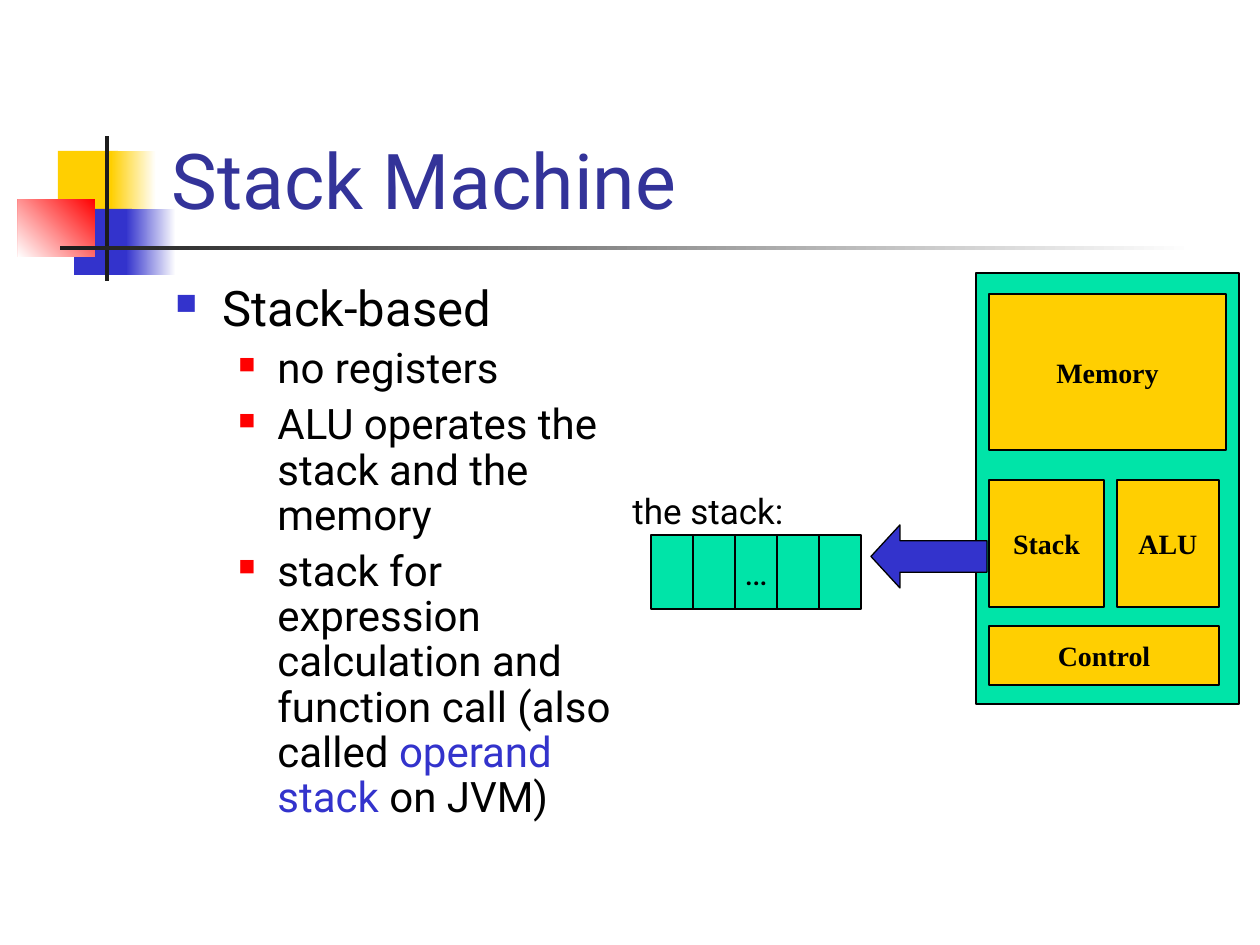
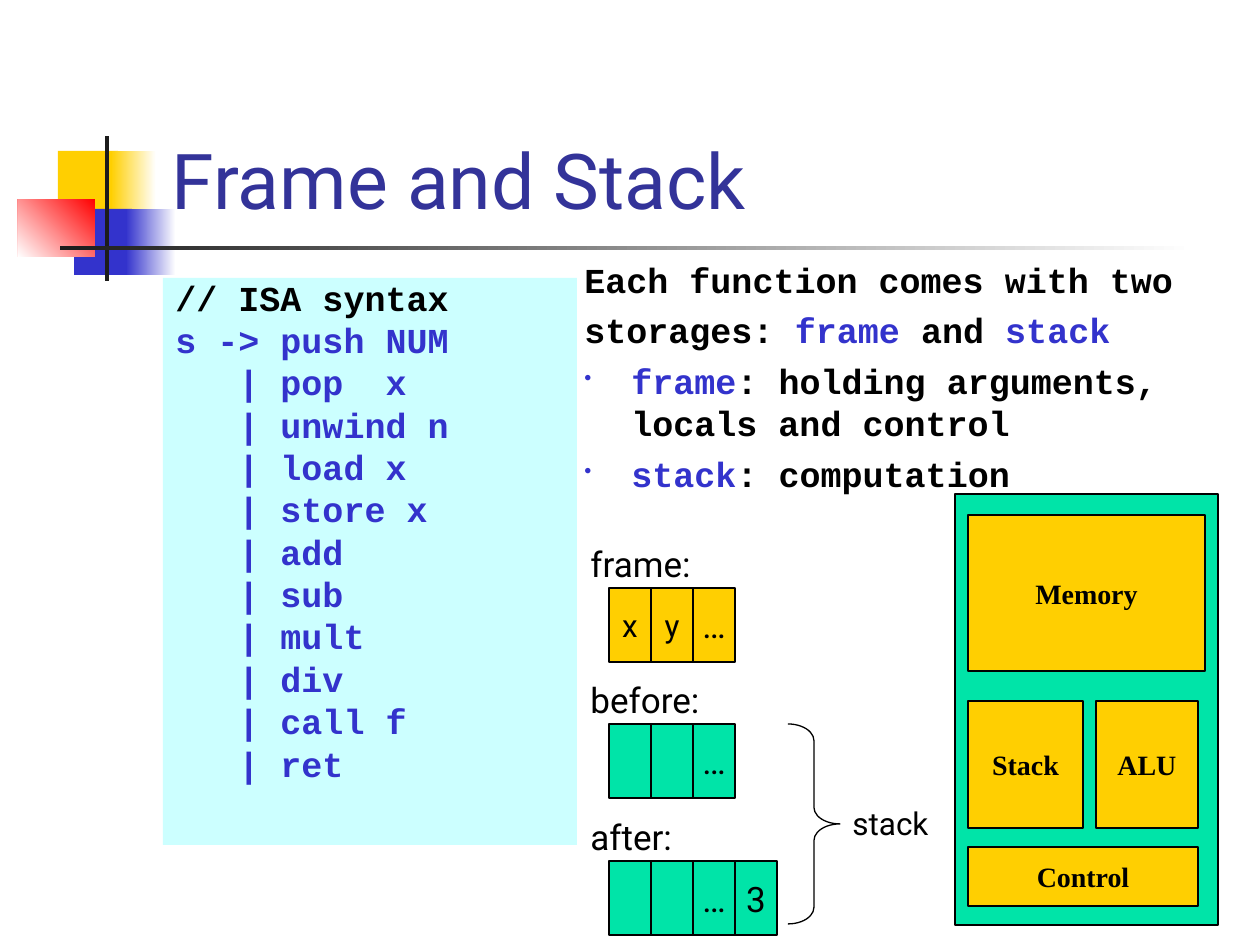
from dataclasses import dataclass, field

from lxml.etree import SubElement
from pptx import Presentation
from pptx.dml.color import RGBColor
from pptx.enum.shapes import MSO_SHAPE
from pptx.enum.text import MSO_ANCHOR, MSO_AUTO_SIZE, PP_ALIGN
from pptx.oxml.ns import qn
from pptx.util import Emu, Pt

EMU_PER_PX = 914400 / 126


def px(length):
    """Turn a length in px into EMU."""
    return Emu(round(length * EMU_PER_PX))


def set_values(target, values):
    """Set every attribute named in a dict of format values."""
    for name, value in values.items():
        setattr(target, name, value)


@dataclass(frozen=True)
class TextStyle:
    """Font, paragraph, indent and bullet of one kind of text."""

    font: dict
    color: str = "000000"
    paragraph: dict = field(default_factory=dict)
    left: int = 0
    hanging: int = 0
    bullet: tuple = ()


@dataclass(frozen=True)
class Theme:
    """Colours and text styles of the presentation."""

    yellow: str = "FFCF01"
    blue: str = "3333CC"
    red: str = "FF0000"
    green: str = "00E4A8"
    cyan: str = "CCFFFF"
    dark: str = "1C1C1C"
    white: str = "FFFFFF"
    black: str = "000000"
    line_width: Pt = Pt(0.75)
    sans: str = "Roboto"
    serif: str = "Times New Roman"
    mono: str = "Courier New"

    def style(self, name):
        """Return the text style with the given name."""
        code_font = {"name": self.mono, "size": Pt(20), "bold": True}
        centred = {"alignment": PP_ALIGN.CENTER}
        return {
            "title": TextStyle({"name": self.sans, "size": Pt(44)}, "333399",
                               {"alignment": PP_ALIGN.LEFT}),
            "label": TextStyle({"name": self.sans, "size": Pt(20)}),
            "small label": TextStyle({"name": self.sans, "size": Pt(18)}),
            "cell": TextStyle({"name": self.sans, "size": Pt(20)}, paragraph=centred),
            "small cell": TextStyle({"name": self.sans, "size": Pt(18)}, paragraph=centred),
            "unit": TextStyle({"name": self.serif, "size": Pt(16), "bold": True},
                              paragraph=centred),
            "topic": TextStyle({"name": self.sans, "size": Pt(28)},
                               paragraph={"line_spacing": 0.9, "space_before": Pt(7)},
                               left=47, hanging=47, bullet=("■", self.blue, 60)),
            "point": TextStyle({"name": self.sans, "size": Pt(24)},
                               paragraph={"line_spacing": 0.9, "space_before": Pt(6)},
                               left=102, hanging=39, bullet=("■", self.red, 55)),
            "code": TextStyle(code_font,
                              paragraph={"line_spacing": 0.8, "space_before": Pt(5)},
                              left=47, hanging=47),
            "statement": TextStyle(code_font, paragraph={"space_before": Pt(5)},
                                   left=47, hanging=47),
            "storage": TextStyle(code_font, paragraph={"space_before": Pt(5)},
                                 left=47, hanging=47, bullet=("•", self.blue, 60)),
        }[name]


class Deck:
    """Holds the theme and the current slide and draws on it."""

    def __init__(self, theme):
        """Start a presentation with a title-only layout."""
        self.theme = theme
        self.presentation = Presentation()
        set_values(self.presentation, {"slide_width": px(1260), "slide_height": px(945)})
        self.layout = self.presentation.slide_layouts[5]
        self.slide = None

    def add_slide(self, title):
        """Add a slide and format its title."""
        first = self.slide is None
        self.slide = self.presentation.slides.add_slide(self.layout)
        if first:
            self.decorate_layout()
        shape = self.slide.shapes.title
        set_values(shape, {"left": px(159), "top": px(29),
                           "width": px(1074), "height": px(202)})
        set_values(shape.text_frame, {"vertical_anchor": MSO_ANCHOR.BOTTOM,
                                      "auto_size": MSO_AUTO_SIZE.NONE, "word_wrap": True})
        self.fill_text(shape.text_frame, [("title", title)])

    def decorate_layout(self):
        """Put the shared squares and rules on the layout."""
        theme = self.theme
        for placeholder in list(self.layout.placeholders):
            if placeholder.placeholder_format.idx:
                self.layout.shapes.element.remove(placeholder.element)
        decorations = [
            ((58, 151, 60, 66), (theme.yellow,), 0),
            ((111, 151, 45, 66), (theme.white, theme.yellow), 180),
            ((74, 209, 58, 66), (theme.blue,), 0),
            ((126, 209, 50, 66), (theme.white, theme.blue), 180),
            ((18, 199, 77, 58), (theme.red, theme.white), 225),
            ((105, 136, 4, 145), (theme.dark,), 0),
            ((60, 246, 1134, 4), (theme.white, theme.dark), 180),
        ]
        shapes = [self.shape(box, colors[0], outlined=False) for box, colors, _ in decorations]
        for shape, (_, colors, angle) in zip(shapes, decorations):
            if len(colors) > 1:
                self.fade(shape, colors, angle)
            self.layout.shapes.element.append(shape.element)

    def fade(self, shape, colors, angle):
        """Fill a shape with a gradient."""
        shape.fill.gradient()
        shape.fill.gradient_angle = angle
        for stop, color in zip(shape.fill.gradient_stops, colors):
            stop.color.rgb = RGBColor.from_string(color)

    def shape(self, box, color=None, kind=MSO_SHAPE.RECTANGLE, adjustments=(), outlined=True):
        """Add a preset shape without a shadow."""
        shape = self.slide.shapes.add_shape(kind, *map(px, box))
        shape.shadow.inherit = False
        if color:
            shape.fill.solid()
            shape.fill.fore_color.rgb = RGBColor.from_string(color)
        else:
            shape.fill.background()
        if outlined:
            shape.line.width = self.theme.line_width
            shape.line.color.rgb = RGBColor.from_string(self.theme.black)
        else:
            shape.line.fill.background()
        for index, value in enumerate(adjustments):
            shape.adjustments[index] = value
        return shape

    def block(self, box, color, text, style):
        """Add a rectangle with centred text."""
        shape = self.shape(box, color)
        if text:
            set_values(shape.text_frame, {"vertical_anchor": MSO_ANCHOR.MIDDLE,
                                          "word_wrap": False})
            self.fill_text(shape.text_frame, [(style, text)])

    def text(self, box, paragraphs, color=None):
        """Add a wrapping text box, filled if a colour is given."""
        shape = self.slide.shapes.add_textbox(*map(px, box))
        shape.text_frame.word_wrap = True
        if color:
            shape.fill.solid()
            shape.fill.fore_color.rgb = RGBColor.from_string(color)
        self.fill_text(shape.text_frame, paragraphs)

    def fill_text(self, frame, paragraphs):
        """Add styled paragraphs, with accents between asterisks."""
        for index, (name, text) in enumerate(paragraphs):
            style = self.theme.style(name)
            paragraph = frame.add_paragraph() if index else frame.paragraphs[0]
            set_values(paragraph, style.paragraph)
            if not index:
                paragraph.space_before = Pt(0)
            self.indent(paragraph, style)
            for part, content in enumerate(text.split("*")):
                if content:
                    run = paragraph.add_run()
                    run.text = content
                    set_values(run.font, style.font)
                    color = self.theme.blue if part % 2 else style.color
                    run.font.color.rgb = RGBColor.from_string(color)

    def indent(self, paragraph, style):
        """Give a paragraph its indent and bullet."""
        properties = paragraph._p.get_or_add_pPr()
        if style.left:
            properties.set("marL", str(px(style.left)))
            properties.set("indent", str(px(-style.hanging)))
        if style.bullet:
            character, color, percent = style.bullet
            bullet_color = SubElement(properties, qn("a:buClr"))
            SubElement(bullet_color, qn("a:srgbClr")).set("val", color)
            SubElement(properties, qn("a:buSzPct")).set("val", str(percent * 1000))
            SubElement(properties, qn("a:buChar")).set("char", character)

    def cells(self, label, left, top, contents, color, label_width=157):
        """Add a label over a row of storage cells."""
        for index, content in enumerate(contents):
            style = "small cell" if content.isalpha() else "cell"
            self.block((left + 42 * index, top, 42, 74), color, content, style)
        self.text((left - 31, top - 52, label_width, 55), [("label", label)])

    def machine(self, left, top):
        """Add the diagram of the machine's units."""
        self.shape((left, top, 263, 431), self.theme.green)
        units = {
            "Memory": (13, 21, 237, 156),
            "Stack": (13, 207, 115, 127),
            "ALU": (141, 207, 102, 127),
            "Control": (13, 353, 230, 59),
        }
        for name, (x, y, width, height) in units.items():
            self.block((left + x, top + y, width, height), self.theme.yellow, name, "unit")


def add_stack_machine(deck):
    """Build the slide on the stack machine."""
    theme = deck.theme
    deck.add_slide("Stack Machine")
    deck.cells("the stack:", 651, 535, ["", "", "…", "", ""], theme.green, 220)
    deck.machine(976, 273)
    deck.shape((871, 525, 116, 63), theme.blue, MSO_SHAPE.LEFT_ARROW, (0.5, 0.46))
    deck.text((163, 278, 487, 567), [
        ("topic", "Stack-based"),
        ("point", "no registers"),
        ("point", "ALU operates the stack and the memory"),
        ("point", "stack for expression calculation and function call "
                  "(also called *operand stack* on JVM)"),
    ])


def add_frame_and_stack(deck):
    """Build the slide on the frame and the stack."""
    theme = deck.theme
    deck.add_slide("Frame and Stack")
    instructions = ["pop  x", "unwind n", "load x", "store x", "add", "sub",
                    "mult", "div", "call f", "ret"]
    syntax = ["// ISA syntax", "*s -> push NUM*"]
    syntax += [f"*   | {instruction}*" for instruction in instructions]
    deck.text((163, 278, 414, 567), [("code", line) for line in syntax], theme.cyan)
    deck.machine(955, 494)
    deck.text((572, 252, 666, 368), [
        ("statement", "Each function comes with two"),
        ("statement", "storages: *frame* and *stack*"),
        ("storage", "*frame*: holding arguments, locals and control"),
        ("storage", "*stack*: computation"),
    ])
    deck.cells("before:", 609, 724, ["", "", "…"], theme.green)
    deck.cells("after:", 609, 861, ["", "", "…", "3"], theme.green, 252)
    deck.cells("frame:", 609, 588, ["x", "y", "…"], theme.yellow)
    deck.shape((788, 724, 52, 200), kind=MSO_SHAPE.RIGHT_BRACE, adjustments=(0.32, 0.5))
    deck.text((840, 798, 283, 50), [("small label", "stack")])


def main():
    """Build and save the presentation."""
    deck = Deck(Theme())
    add_stack_machine(deck)
    add_frame_and_stack(deck)
    deck.presentation.save("out.pptx")


if __name__ == "__main__":
    main()
